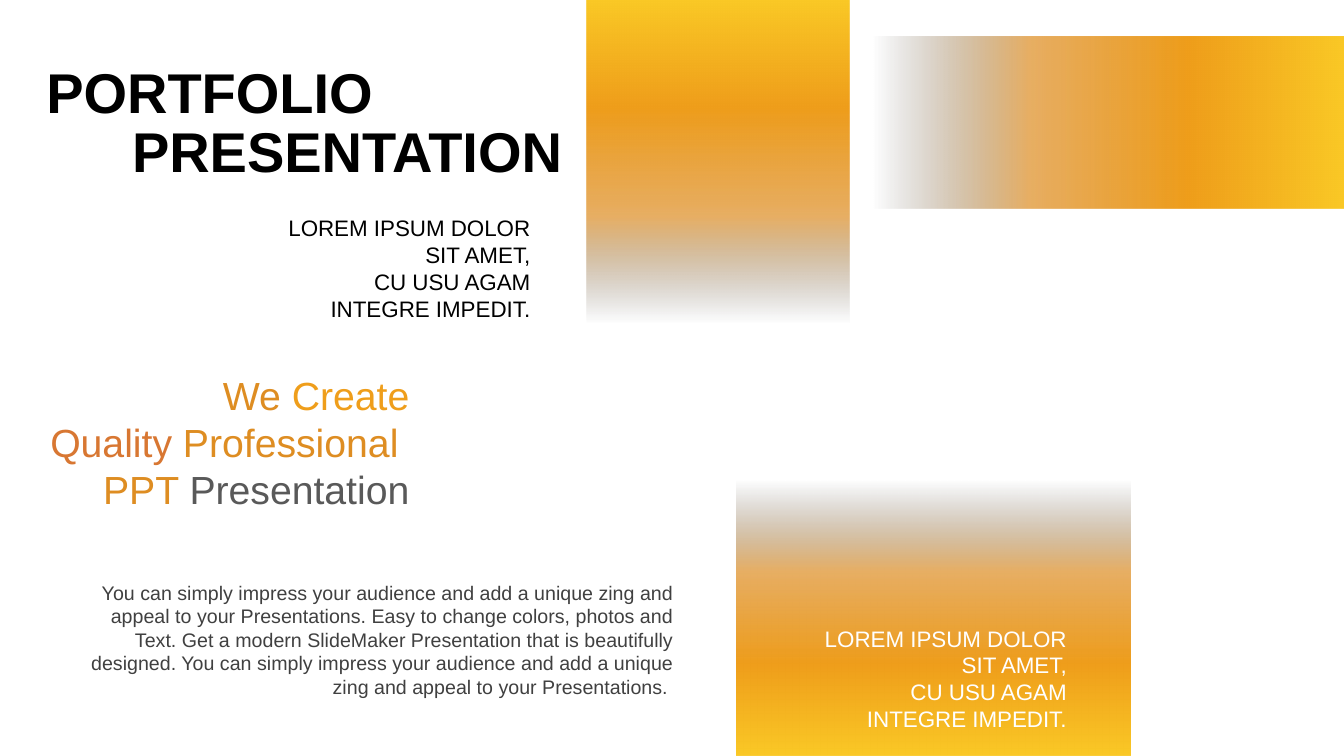
import pptx
import pptx.util
import pptx.dml.color
import pptx.enum.shapes
import pptx.enum.text
import pptx.oxml.ns
from lxml import etree

Inches, Pt = pptx.util.Inches, pptx.util.Pt
qn = pptx.oxml.ns.qn
ALIGN = pptx.enum.text.PP_ALIGN
AUTO = pptx.enum.text.MSO_AUTO_SIZE
ANCHOR = pptx.enum.text.MSO_ANCHOR

COLORS = {
    "black": "000000", "white": "FFFFFF", "dark": "404040", "grey": "595959",
    "yellow": "FAC926", "orange": "EF9E1B", "amber": "DE8D22", "rust": "D87732",
}
# position %, colour, opacity %
FADE = [(0, "yellow", 100), (33, "orange", 100), (67, "amber", 70), (100, "dark", 0)]

# left, top, width, height, rotation
PANELS = [
    (10.15, -1.12, 1.7, 4.67, 270),
    (5.82, 0, 2.6, 3.2, 180),
    (7.3, 4.77, 3.91, 2.73, 0),
]

LOREM = ["LOREM IPSUM DOLOR SIT AMET,", "CU USU AGAM INTEGRE IMPEDIT."]
BODY = (
    "You can simply impress your audience and add a unique zing and appeal to your "
    "Presentations. Easy to change colors, photos and Text. Get a modern SlideMaker "
    "Presentation that is beautifully designed. You can simply impress your audience "
    "and add a unique zing and appeal to your Presentations. "
)
SLOGAN = [
    [("We ", "amber"), ("Create", "orange")],
    [("Quality ", "rust"), ("Professional ", "amber")],
    [("PPT ", "amber"), ("Presentation", "grey")],
]

# frame: text frame settings; margins: left, top, right, bottom
PLAIN = (0.1, 0.05, 0.1, 0.05)
TITLE = {"size": 40, "bold": True, "align": ALIGN.LEFT, "margins": (0, 0.05, 0.1, 0.05),
         "frame": {"vertical_anchor": ANCHOR.MIDDLE, "auto_size": AUTO.NONE}}
CAPTION = {"size": 16, "bold": False, "align": ALIGN.RIGHT, "margins": PLAIN,
           "frame": {"vertical_anchor": ANCHOR.MIDDLE, "auto_size": AUTO.SHAPE_TO_FIT_TEXT}}
PARAGRAPH = {**CAPTION, "size": 14,
             "frame": {"vertical_anchor": ANCHOR.TOP, "auto_size": AUTO.SHAPE_TO_FIT_TEXT}}
HEADLINE = {**CAPTION, "size": 28, "margins": (0.04, 0, 0.04, 0)}


def one_color(lines, color):
    return [[(line, color)] for line in lines]


TEXTS = [
    ((0.46, 0.51, 4.4, 0.79), TITLE, one_color(["PORTFOLIO"], "black")),
    ((1.31, 1.09, 4.4, 0.79), TITLE, one_color(["PRESENTATION"], "black")),
    ((2.66, 2.07, 2.7, 1.18), CAPTION, one_color(LOREM, "black")),
    ((7.98, 6.14, 2.7, 1.18), CAPTION, one_color(LOREM, "white")),
    ((0.67, 5.71, 6.11, 1.28), PARAGRAPH, one_color([BODY], "dark")),
    ((0, 3.68, 4.1, 1.41), HEADLINE, SLOGAN),
]


def fade_fill(sp):
    """Fill with the four-stop fade, running from the bottom side to the top."""
    sp.fill.gradient()
    sp.fill.gradient_angle = 90
    stops = sp._element.spPr.find(qn("a:gradFill")).find(qn("a:gsLst"))
    for gs in list(stops):
        stops.remove(gs)
    for pos, color, opacity in FADE:
        gs = etree.SubElement(stops, qn("a:gs"), pos=str(pos * 1000))
        clr = etree.SubElement(gs, qn("a:srgbClr"), val=COLORS[color])
        if opacity < 100:
            etree.SubElement(clr, qn("a:alpha"), val=str(opacity * 1000))


def add_panel(slide, left, top, width, height, rotation):
    sp = slide.shapes.add_shape(pptx.enum.shapes.MSO_SHAPE.RECTANGLE,
                                *map(Inches, (left, top, width, height)))
    sp.rotation = rotation
    sp.shadow.inherit = False
    sp.line.fill.background()
    fade_fill(sp)


def add_text(slide, box, style, lines):
    tf = slide.shapes.add_textbox(*map(Inches, box)).text_frame
    tf.word_wrap = True
    for name, value in style["frame"].items():
        setattr(tf, name, value)
    for side, margin in zip(("left", "top", "right", "bottom"), style["margins"]):
        setattr(tf, f"margin_{side}", Inches(margin))
    for i, line in enumerate(lines):
        p = tf.add_paragraph() if i else tf.paragraphs[0]
        p.alignment = style["align"]
        for text, color in line:
            r = p.add_run()
            r.text = text
            font = {"name": "Arial", "size": Pt(style["size"]), "bold": style["bold"]}
            for name, value in font.items():
                setattr(r.font, name, value)
            r.font.color.rgb = pptx.dml.color.RGBColor.from_string(COLORS[color])


def main():
    prs = pptx.Presentation()
    prs.slide_width, prs.slide_height = Inches(13.33), Inches(7.5)
    slide = prs.slides.add_slide(prs.slide_layouts[6])
    for panel in PANELS:
        add_panel(slide, *panel)
    for box, style, lines in TEXTS:
        add_text(slide, box, style, lines)
    prs.save("out.pptx")


if __name__ == "__main__":
    main()
